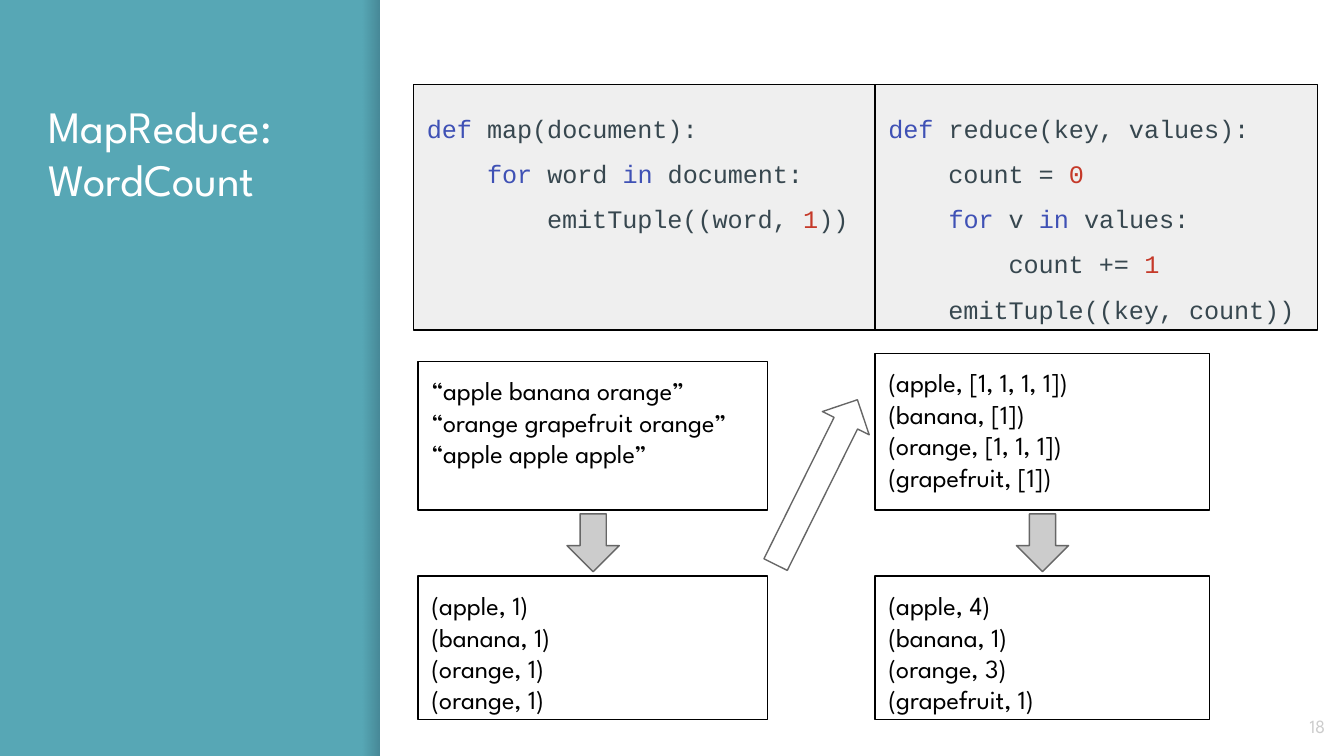
from lxml.etree import SubElement
from pptx import Presentation
from pptx.dml.color import RGBColor
from pptx.enum.shapes import MSO_SHAPE
from pptx.enum.text import MSO_ANCHOR, MSO_AUTO_SIZE, PP_ALIGN
from pptx.oxml.ns import qn
from pptx.util import Pt

SANS = {"name": "League Spartan", "size": Pt(14)}
TITLE = {"name": "League Spartan", "size": Pt(24)}
NUMBER = {"name": "League Spartan", "size": Pt(10)}
CODE = {"name": "Courier New", "size": Pt(13.5)}
FRAME = {
    "margin_left": Pt(7.2), "margin_top": Pt(7.2),
    "margin_right": Pt(7.2), "margin_bottom": Pt(7.2),
    "word_wrap": True, "auto_size": MSO_AUTO_SIZE.NONE,
    "vertical_anchor": MSO_ANCHOR.TOP,
}
LEFT_ALIGNED = {"alignment": PP_ALIGN.LEFT}
TOKEN_COLOURS = {"def": "3F51B5", "for": "3F51B5", "in": "3F51B5",
                 "0": "C53929", "1": "C53929"}

MAP_CODE = [
    "def| map(document):",
    "    |for| word |in| document:",
    "        emitTuple((word, |1|))",
]
REDUCE_CODE = [
    "def| reduce(key, values):",
    "    count = |0",
    "    |for| v |in| values:",
    "        count += |1",
    "    emitTuple((key, count))",
]
DOCUMENTS = ["“apple banana orange”", "“orange grapefruit orange”", "“apple apple apple”"]
MAPPED = ["(apple, 1)", "(banana, 1)", "(orange, 1)", "(orange, 1)"]
GROUPED = ["(apple, [1, 1, 1, 1])", "(banana, [1])", "(orange, [1, 1, 1])", "(grapefruit, [1])"]
REDUCED = ["(apple, 4)", "(banana, 1)", "(orange, 3)", "(grapefruit, 1)"]


def colour(value):
    """Turn a hex string into a colour."""
    return RGBColor.from_string(value)


def apply(target, values):
    """Set every attribute named in a dict of format values."""
    for name, value in values.items():
        setattr(target, name, value)


def write(frame, lines, font, paragraph_format=LEFT_ALIGNED):
    """Fill a text frame with lines, each a list of (text, colour) spans."""
    apply(frame, FRAME)
    for index, line in enumerate(lines):
        para = frame.add_paragraph() if index else frame.paragraphs[0]
        apply(para, paragraph_format)
        for text, hue in line:
            span = para.add_run()
            span.text = text
            apply(span.font, font)
            span.font.color.rgb = colour(hue)


def plain(lines, hue):
    """Give each line one span in a single colour."""
    return [[(line, hue)] for line in lines]


def highlight(lines):
    """Split code lines at bars and colour keywords and numbers."""
    return [[(token, TOKEN_COLOURS.get(token, "37474F")) for token in line.split("|")]
            for line in lines]


def add_preset(page, kind, place, fill=None, line=None):
    """Add a preset shape with a flat fill and a thin outline."""
    shape = page.shapes.add_shape(kind, *map(Pt, place))
    shape.shadow.inherit = False
    if fill:
        shape.fill.solid()
        shape.fill.fore_color.rgb = colour(fill)
    else:
        shape.fill.background()
    if line:
        shape.line.color.rgb = colour(line)
        shape.line.width = Pt(0.75)
    else:
        shape.line.fill.background()
    return shape


def add_panel_shadow(page):
    """Shade the sidebar towards the edge of the white panel."""
    strip = add_preset(page, MSO_SHAPE.RECTANGLE, (194.4, 0, 9.2, 405))
    strip.fill.gradient()
    strip.fill.gradient_angle = 0
    for stop, position, opacity in zip(strip.fill.gradient_stops, (0, 1), (0, 20000)):
        stop.position = position
        stop.color.rgb = colour("000014")
    for element, opacity in zip(strip.element.iter(qn("a:srgbClr")), (0, 20000)):
        SubElement(element, qn("a:alpha")).set("val", str(opacity))


def add_title(page, lines):
    """Place the title in the sidebar."""
    title = page.shapes.title
    apply(title, {"left": Pt(18.7), "top": Pt(45.4), "width": Pt(161.3), "height": Pt(313.2)})
    write(title.text_frame, plain(lines, "FFFFFF"), TITLE)


def add_page_number(page, text):
    """Put the page number in the bottom right corner."""
    box = page.shapes.add_textbox(Pt(673.9), Pt(373.7), Pt(43.2), Pt(31))
    write(box.text_frame, plain([text], "CCCCCC"), NUMBER, {"alignment": PP_ALIGN.RIGHT})
    box.text_frame.vertical_anchor = MSO_ANCHOR.MIDDLE


def add_code_box(page, left, width, lines):
    """Add a grey box of highlighted code."""
    box = add_preset(page, MSO_SHAPE.RECTANGLE, (left, 45.2, width, 131.6), "EFEFEF", "000000")
    write(box.text_frame, highlight(lines), CODE, LEFT_ALIGNED | {"line_spacing": 1.5})


def add_data_box(page, place, lines):
    """Add an outlined box of records."""
    box = add_preset(page, MSO_SHAPE.RECTANGLE, place, line="000000")
    write(box.text_frame, plain(lines, "000000"), SANS)


def add_arrow(page, place, fill=None, rotation=0):
    """Add a block arrow that points down before rotation."""
    arrow = add_preset(page, MSO_SHAPE.DOWN_ARROW, place, fill, "666666")
    arrow.rotation = rotation


def main():
    """Build the slide and save it."""
    deck = Presentation()
    apply(deck, {"slide_width": Pt(720), "slide_height": Pt(405)})
    page = deck.slides.add_slide(deck.slide_layouts[5])
    page.background.fill.solid()
    page.background.fill.fore_color.rgb = colour("57A7B5")

    add_panel_shadow(page)
    add_preset(page, MSO_SHAPE.RECTANGLE, (203.6, 0, 516.4, 405), "FFFFFF")
    add_title(page, ["MapReduce:", "WordCount"])
    add_page_number(page, "18")

    map_left, reduce_left = 224, 468.8
    add_code_box(page, 221.6, 247.4, MAP_CODE)
    add_code_box(page, reduce_left, 236.9, REDUCE_CODE)
    add_data_box(page, (map_left, 193.6, 187.2, 79.7), DOCUMENTS)
    add_data_box(page, (map_left, 308.6, 187.2, 76.8), MAPPED)
    add_data_box(page, (reduce_left, 189.3, 179.3, 84), GROUPED)
    add_data_box(page, (reduce_left, 308.6, 179.3, 76.8), REDUCED)

    for left in (303.8, 544.5):
        add_arrow(page, (left, 275.3, 28, 31), "CCCCCC")
    add_arrow(page, (423.4, 209, 28, 98.6), rotation=206.4)
    deck.save("out.pptx")


if __name__ == "__main__":
    main()
